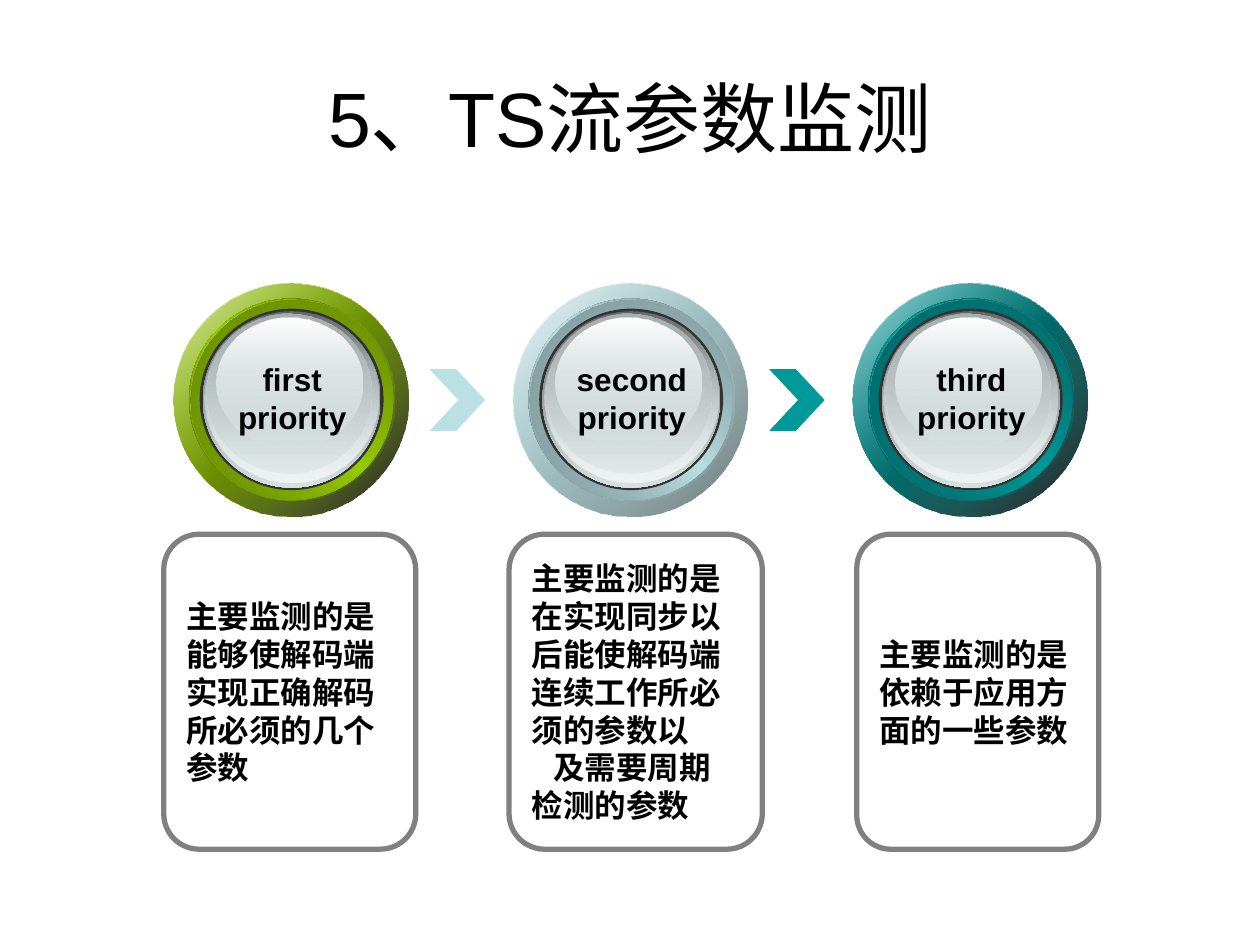
from dataclasses import dataclass

from lxml.etree import SubElement
from pptx import Presentation
from pptx.dml.color import RGBColor
from pptx.enum.shapes import MSO_SHAPE
from pptx.enum.text import MSO_ANCHOR, PP_ALIGN
from pptx.oxml.ns import qn
from pptx.util import Inches, Pt


@dataclass(frozen=True)
class Theme:
    font: str = "Arial"
    title_size: int = 44
    body_size: int = 18
    text: str = "000000"
    outline: str = "808080"
    outline_width: int = 3
    rim: str = "333333"
    white: str = "FEFEFE"
    glass: str = "D6E1E2"
    glass_dark: str = "626768"
    glass_mid: str = "A8B1B2"
    glass_light: str = "EFF3F3"


@dataclass(frozen=True)
class RingColours:
    main: str
    shade: str
    bevel: str
    inner: str


GREEN = RingColours("99CC00", "000000", "526D00", "608100")
PALE = RingColours("BBE0E3", "566768", "64787A", "768D8F")
TEAL = RingColours("009999", "000000", "005252", "006060")

# The slide is a grid of 100 columns by 75 rows
COLUMNS, ROWS = 100, 75
SLIDE_WIDTH, SLIDE_HEIGHT = Inches(10), Inches(7.5)


def write_text(frame, lines, *, theme, size, bold=False, align=PP_ALIGN.LEFT,
               anchor=MSO_ANCHOR.TOP, wrap=True, later_indent=0):
    """Fill a text frame, one paragraph for each line."""
    frame.word_wrap = wrap
    frame.vertical_anchor = anchor
    for index, line in enumerate(lines):
        paragraph = frame.add_paragraph() if index else frame.paragraphs[0]
        paragraph.alignment = align
        if index and later_indent:
            paragraph._p.get_or_add_pPr().set("indent", str(Inches(later_indent)))
        run = paragraph.add_run()
        run.text = line
        run.font.name = theme.font
        run.font.size = Pt(size)
        run.font.bold = bold
        run.font.color.rgb = RGBColor.from_string(theme.text)


class SlideBuilder:
    def __init__(self, slide, theme):
        self.slide = slide
        self.theme = theme

    def place(self, column, row, columns, rows):
        """Turn grid units into left, top, width and height."""
        across, down = SLIDE_WIDTH / COLUMNS, SLIDE_HEIGHT / ROWS
        return (round(column * across), round(row * down),
                round(columns * across), round(rows * down))

    def shape(self, kind, area, colour=None):
        shape = self.slide.shapes.add_shape(kind, *self.place(*area))
        shape.shadow.inherit = False
        shape.line.fill.background()
        if colour:
            shape.fill.solid()
            shape.fill.fore_color.rgb = RGBColor.from_string(colour)
        else:
            shape.fill.background()
        return shape

    def gradient_disc(self, area, angle, *stops):
        """Add an ellipse; each stop is a colour and its opacity in percent."""
        properties = self.shape(MSO_SHAPE.OVAL, area)._element.spPr
        empty_fill = properties.find(qn("a:noFill"))
        gradient = SubElement(properties, qn("a:gradFill"), rotWithShape="1")
        properties.replace(empty_fill, gradient)
        stop_list = SubElement(gradient, qn("a:gsLst"))
        for index, (colour, opacity) in enumerate(stops):
            position = index * 100000 // (len(stops) - 1)
            stop = SubElement(stop_list, qn("a:gs"), pos=str(position))
            value = SubElement(stop, qn("a:srgbClr"), val=colour)
            if opacity < 100:
                SubElement(value, qn("a:alpha"), val=str(opacity * 1000))
        SubElement(gradient, qn("a:lin"), ang=str(angle * 60000), scaled="1")

    def text(self, lines, area, **text_format):
        box = self.slide.shapes.add_textbox(*self.place(*area))
        write_text(box.text_frame, lines, theme=self.theme, **text_format)

    def card(self, lines, area):
        card = self.shape(MSO_SHAPE.ROUNDED_RECTANGLE, area)
        card.adjustments[0] = 0.14
        card.line.color.rgb = RGBColor.from_string(self.theme.outline)
        card.line.width = Pt(self.theme.outline_width)
        write_text(card.text_frame, lines, theme=self.theme, bold=True,
                   size=self.theme.body_size, anchor=MSO_ANCHOR.MIDDLE,
                   later_indent=0.17)

    def chevron(self, column, row, colour):
        chevron = self.shape(MSO_SHAPE.CHEVRON, (column, row, 4.4, 4.9), colour)
        chevron.adjustments[0] = 0.52

    def ring(self, column, row, colours):
        theme = self.theme

        def layer(right, down, columns, rows):
            return column + right, row + down, columns, rows

        # Coloured outer ring
        outer, inner = layer(0, 0, 18.6, 18.5), layer(1.2, 1.2, 16.2, 16)
        bevel = (colours.bevel, 100)
        self.gradient_disc(outer, 225, (theme.white, 100), (colours.main, 100),
                           (theme.white, 100))
        self.gradient_disc(outer, 225, (colours.shade, 90), (colours.main, 32))
        self.gradient_disc(inner, 135, bevel, (colours.main, 100), bevel)
        self.gradient_disc(layer(1.3, 1.25, 16.2, 16), 225,
                           (colours.main, 0), (colours.inner, 100))
        self.shape(MSO_SHAPE.OVAL, layer(2.05, 2, 14.6, 14.4), theme.rim)

        # Glass button inside the rim
        self.gradient_disc(layer(2.3, 2.2, 14.1, 14), 90,
                           (theme.glass_dark, 100), (theme.glass, 100))
        self.gradient_disc(layer(2.45, 2.2, 13.8, 13.6), 90,
                           (theme.glass, 0), (theme.glass_light, 100))
        self.gradient_disc(layer(2.6, 2.4, 13.1, 12.7), 90,
                           (theme.glass_mid, 100), (theme.glass, 48))
        self.gradient_disc(layer(3.35, 2.7, 11.6, 10.3), 90,
                           (theme.white, 100), (theme.glass, 38))


def main():
    presentation = Presentation()
    presentation.slide_width, presentation.slide_height = SLIDE_WIDTH, SLIDE_HEIGHT
    slide = presentation.slides.add_slide(presentation.slide_layouts[6])
    theme = Theme()
    builder = SlideBuilder(slide, theme)

    # Title
    builder.text(["5、TS流参数监测"], (5, 3, 90, 12.5), size=theme.title_size,
                 align=PP_ALIGN.CENTER, anchor=MSO_ANCHOR.MIDDLE)

    # Three priorities: ring, label and card
    priorities = [
        ("first", GREEN, 13, 20, ["主要监测的是能够使解码端实现正确解码所必须的几个参数"]),
        ("second", PALE, 40.4, 20.1, ["主要监测的是在实现同步以后能使解码端连续工作所必须的参数以",
                                      "及需要周期检测的参数"]),
        ("third", TEAL, 68, 19.2, ["主要监测的是依赖于应用方面的一些参数"]),
    ]
    first_ring, ring_pitch, ring_row = 13.8, 26.95, 22.5
    for index, (rank, colours, card_column, card_width, lines) in enumerate(priorities):
        column = first_ring + index * ring_pitch
        builder.ring(column, ring_row, colours)
        builder.text([rank, "priority"], (column + 2.4, 28.1, 14, 7), bold=True,
                     size=theme.body_size, align=PP_ALIGN.CENTER, wrap=False)
        builder.card(lines, (card_column, 42.4, card_width, 25))

        # Chevron in the colour of the ring it leads to
        if index:
            builder.chevron(column - ring_pitch + 20.3, 29.3, colours.main)

    presentation.save("out.pptx")


if __name__ == "__main__":
    main()
